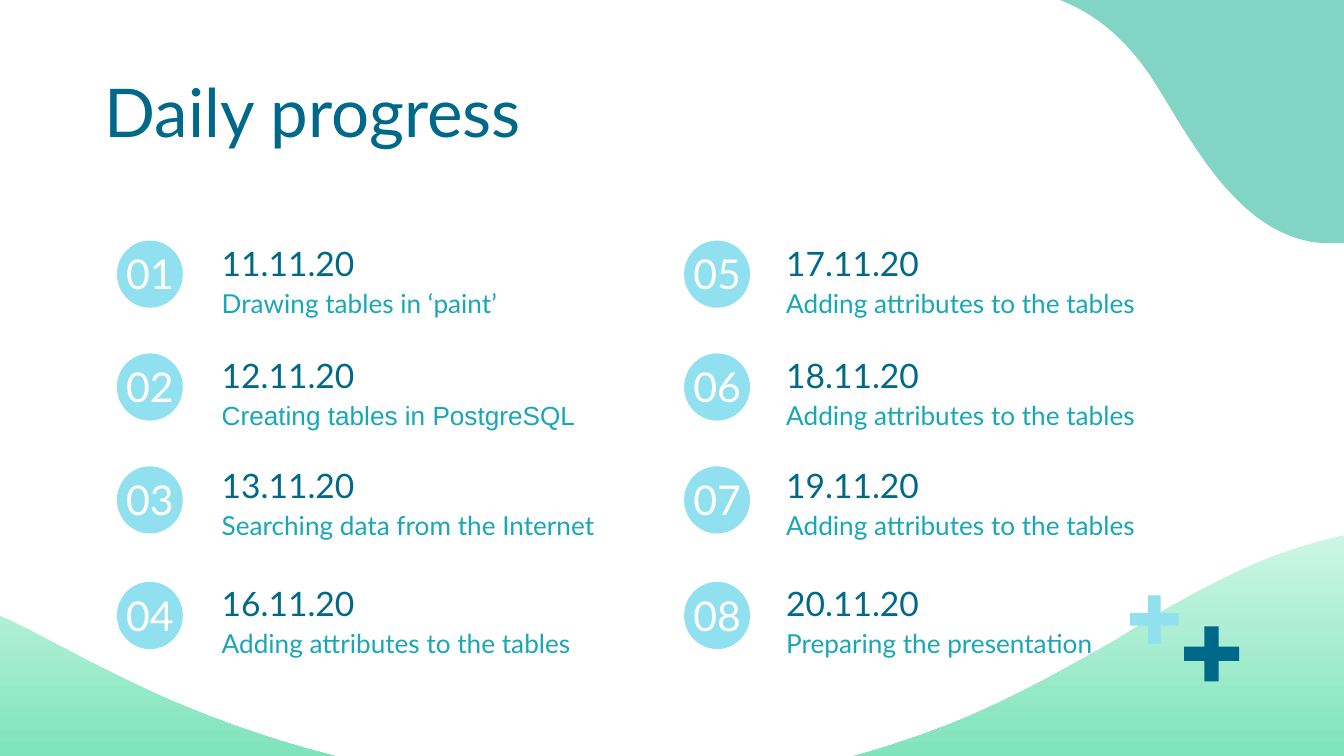
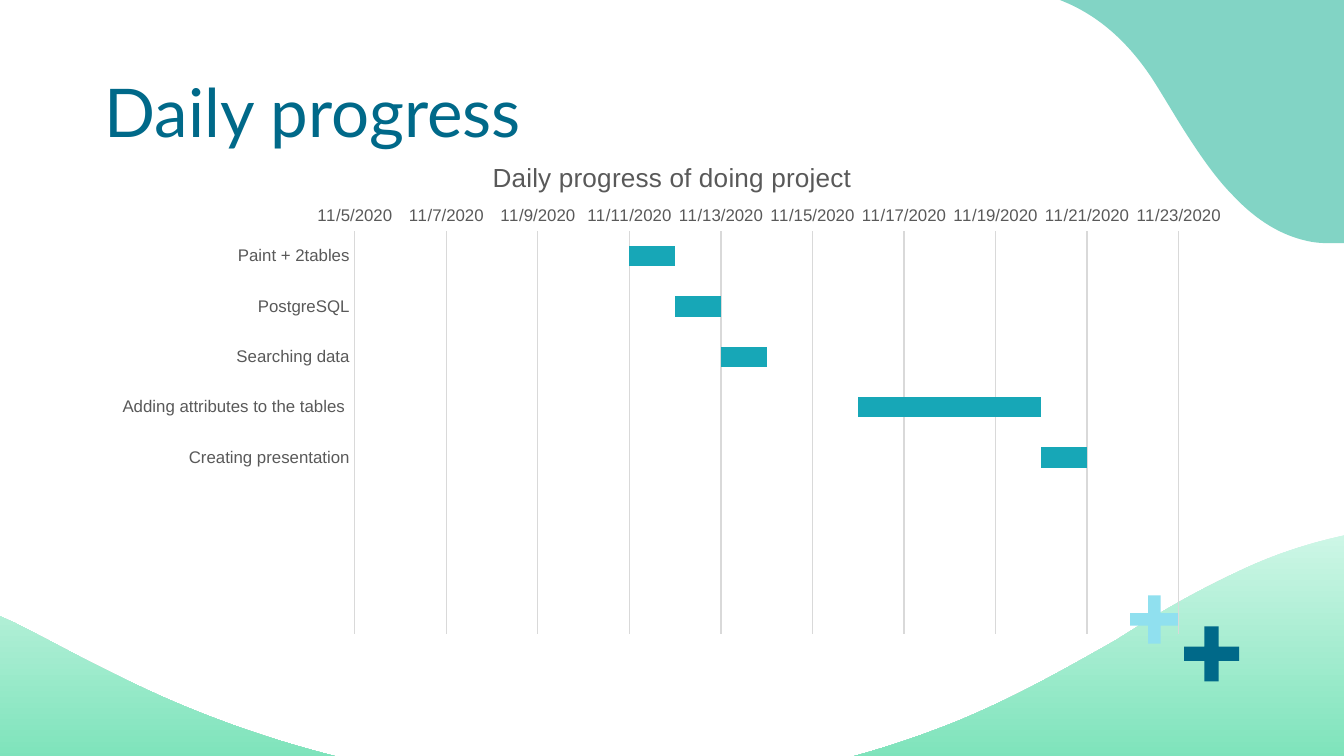
from dataclasses import dataclass

from lxml import etree
from pptx import Presentation
from pptx.chart.data import CategoryChartData
from pptx.dml.color import RGBColor
from pptx.enum.chart import XL_CHART_TYPE, XL_TICK_MARK
from pptx.enum.shapes import MSO_SHAPE
from pptx.enum.text import MSO_ANCHOR, PP_ALIGN
from pptx.oxml.ns import qn
from pptx.util import Emu, Pt

STACKED_BAR = XL_CHART_TYPE.BAR_STACKED
NO_TICK = XL_TICK_MARK.NONE
ELLIPSE, CROSS = MSO_SHAPE.OVAL, MSO_SHAPE.CROSS
TOP, MIDDLE, BOTTOM = MSO_ANCHOR.TOP, MSO_ANCHOR.MIDDLE, MSO_ANCHOR.BOTTOM
LEFT, CENTER = PP_ALIGN.LEFT, PP_ALIGN.CENTER

PX = 9144  # EMU in one px, 100 px to the inch
SLIDE_WIDTH = 1000 * PX
SLIDE_HEIGHT = SLIDE_WIDTH * 9 // 16


@dataclass(frozen=True)
class Theme:
    navy: str = "006989"
    teal: str = "17A7B7"
    sky: str = "90E0EF"
    sea: str = "82D4C5"
    wave_top: str = "D1F7E8"
    wave_bottom: str = "68DEAF"
    white: str = "FFFFFF"
    chart_text: str = "595959"
    chart_line: str = "D9D9D9"
    font: str = "Lato"
    plain_font: str = "Arial"
    title_size: int = 36
    number_size: int = 22
    date_size: int = 18
    task_size: int = 14
    chart_title_size: int = 14
    axis_size: int = 9


# Outlines: a start point, then lines (x, y) and cubic curves (three points)
WAVE = [
    (1066, 390),
    (1057, 391, 1049, 392, 1040, 392), (995, 397, 955, 409, 920, 426),
    (888, 441, 859, 458, 831, 476), (794, 497, 757, 518, 714, 536),
    (645, 564, 571, 582, 488, 587), (473, 588, 458, 588, 443, 588),
    (393, 588, 344, 583, 295, 573), (219, 558, 150, 534, 88, 503),
    (61, 490, 36, 476, 10, 463), (-19, 450, -48, 438, -83, 431),
    (-98, 427, -113, 425, -128, 425), (-149, 425, -169, 429, -188, 440),
    (-188, 610), (1066, 610),
]
CORNER = [
    (872, -7),
    (956, -7, 1064, -6, 1066, -6), (1066, 157),
    (1064, 158, 1063, 159, 1062, 159), (1053, 166, 1043, 171, 1032, 174),
    (1020, 179, 1007, 181, 994, 181), (988, 181, 982, 181, 976, 180),
    (954, 176, 935, 164, 918, 146), (905, 133, 894, 117, 883, 100),
    (874, 86, 866, 72, 857, 58), (837, 28, 813, 8, 783, -2),
    (781, -3, 779, -3, 777, -4), (776, -4, 776, -5, 777, -6),
    (778, -7, 821, -7, 872, -7),
]

TITLE = "Daily progress"
TABLES_TASK = "Adding attributes to the tables"
PROGRESS = [
    ("11.11.20", "Drawing tables in ‘paint’"),
    ("12.11.20", "Creating tables in PostgreSQL"),
    ("13.11.20", "Searching data from the Internet"),
    ("16.11.20", TABLES_TASK),
    ("17.11.20", TABLES_TASK),
    ("18.11.20", TABLES_TASK),
    ("19.11.20", TABLES_TASK),
    ("20.11.20", "Preparing the presentation"),
]
PLAIN_FONT_DATE = "12.11.20"
COLUMNS = [(87, 165), (509, 585)]  # left of circle, left of text
ROWS = [(179, 181), (263, 264), (347, 346), (433, 434)]  # top of circle, top of date

# Task, first day as a date serial, length in days
SCHEDULE = [
    ("Paint + 2tables", 44146, 1),
    ("PostgreSQL", 44147, 1),
    ("Searching data", 44148, 1),
    ("Adding attributes to the tables ", 44151, 4),
    ("Creating presentation", 44155, 1),
] + [("", None, None)] * 3
FIRST_DAY, LAST_DAY, DAY_STEP = 44140, 44158, 2


def color(value):
    return RGBColor.from_string(value)


def bend(shape, segments):
    """Join the lines through the control points of each curve into that curve."""
    lines = iter(list(shape.element.iter(qn("a:lnTo"))))
    for segment in segments:
        first = next(lines)
        if len(segment) == 2:
            continue
        curve = etree.Element(qn("a:cubicBezTo"))
        first.addprevious(curve)
        for line in (first, next(lines), next(lines)):
            curve.append(line[0])
            line.getparent().remove(line)


def manual_layout(**settings):
    """Make a chart layout element from its settings."""
    layout = etree.Element(qn("c:layout"))
    manual = etree.SubElement(layout, qn("c:manualLayout"))
    for name, value in settings.items():
        etree.SubElement(manual, qn(f"c:{name}")).set("val", str(value))
    return layout


def drop_layout(element):
    for layout in element.findall(qn("c:layout")):
        element.remove(layout)


class Deck:
    def __init__(self, theme):
        self.theme = theme
        self.presentation = Presentation()
        self.presentation.slide_width = Emu(SLIDE_WIDTH)
        self.presentation.slide_height = Emu(SLIDE_HEIGHT)
        self.slide = None

    def new_slide(self, title):
        theme = self.theme
        self.slide = self.presentation.slides.add_slide(self.presentation.slide_layouts[6])
        background = self.slide.background.fill
        background.solid()
        background.fore_color.rgb = color(theme.white)
        self.outline(WAVE, theme.wave_top, theme.wave_bottom)
        self.outline(CORNER, theme.sea)
        self.plus(881, 466, 41, theme.navy)
        self.plus(841, 443, 36, theme.sky)
        self.text(title, 78, 52, 844, 60, theme.title_size, theme.navy)

    def paint(self, shape, fill, end_fill=None):
        shape.shadow.inherit = False
        shape.line.fill.background()
        if end_fill is None:
            shape.fill.solid()
            shape.fill.fore_color.rgb = color(fill)
            return
        shape.fill.gradient()
        shape.fill.gradient_angle = 270
        stops = shape.fill.gradient_stops
        for stop, position, value in zip(stops, (0, 1), (fill, end_fill)):
            stop.position = position
            stop.color.rgb = color(value)

    def outline(self, outline, fill, end_fill=None):
        start, *segments = outline
        points = [point for segment in segments
                  for point in zip(segment[::2], segment[1::2])]
        builder = self.slide.shapes.build_freeform(*start, scale=PX)
        builder.add_line_segments(points, close=True)
        shape = builder.convert_to_shape()
        bend(shape, segments)
        self.paint(shape, fill, end_fill)

    def preset(self, kind, left, top, width, height, fill):
        box = [Emu(length * PX) for length in (left, top, width, height)]
        shape = self.slide.shapes.add_shape(kind, *box)
        self.paint(shape, fill)
        return shape

    def plus(self, left, top, size, fill):
        shape = self.preset(CROSS, left, top, size, size, fill)
        shape.adjustments[0] = 0.37

    def text(self, text, left, top, width, height, size, fill,
             font=None, anchor=TOP, align=LEFT):
        box = [Emu(length * PX) for length in (left, top, width, height)]
        frame = self.slide.shapes.add_textbox(*box).text_frame
        frame.word_wrap = True
        frame.vertical_anchor = anchor
        frame.margin_left = frame.margin_right = 0
        frame.margin_top = frame.margin_bottom = 0
        frame.text = text
        paragraph = frame.paragraphs[0]
        paragraph.alignment = align
        self.style(paragraph.runs[0].font, size, fill, font or self.theme.font)

    def style(self, font, size, fill, name):
        font.name = name
        font.size = Pt(size)
        font.bold = False
        font.color.rgb = color(fill)

    def progress_entry(self, number, date, task, column, row):
        theme = self.theme
        circle_left, text_left = column
        circle_top, date_top = row
        self.preset(ELLIPSE, circle_left, circle_top, 49, 50, theme.sky)
        self.text(f"{number:02}", circle_left - 15, circle_top - 5, 79, 59,
                  theme.number_size, theme.white, anchor=MIDDLE, align=CENTER)
        self.text(date, text_left, date_top, 343, 30,
                  theme.date_size, theme.navy, anchor=BOTTOM)
        task_font = theme.plain_font if date == PLAIN_FONT_DATE else theme.font
        self.text(task, text_left, date_top + 33, 343, 30,
                  theme.task_size, theme.teal, font=task_font)

    def gantt(self, title, schedule, left, top, width, height):
        theme = self.theme
        names, starts, lengths = zip(*schedule)
        data = CategoryChartData()
        data.categories = names
        data.add_series("Series 1", starts)
        data.add_series("Series 2", lengths)
        box = [Emu(length * PX) for length in (left, top, width, height)]
        chart = self.slide.shapes.add_chart(STACKED_BAR, *box, data).chart
        chart.has_legend = False
        self.style(chart.font, theme.axis_size, theme.chart_text, theme.plain_font)

        # Rows without a task keep their place but have no label
        for point in list(chart.element.iter(qn("c:pt"))):
            if not point.findtext(qn("c:v")):
                point.getparent().remove(point)

        # Title
        chart.has_title = True
        chart.chart_title.include_in_layout = False
        frame = chart.chart_title.text_frame
        frame.text = title
        self.style(frame.paragraphs[0].runs[0].font, theme.chart_title_size,
                   theme.chart_text, theme.plain_font)
        title_element = chart.chart_title.element
        drop_layout(title_element)
        title_element.find(qn("c:tx")).addnext(manual_layout(
            xMode="edge", yMode="edge", x=287 / width, y=12 / height))

        # Bars: the first series only pushes the second to its start date
        plot = chart.plots[0]
        plot.gap_width = 150
        plot.overlap = 100
        plot.vary_by_categories = False
        offset, duration = plot.series
        offset.format.fill.background()
        duration.format.fill.solid()
        duration.format.fill.fore_color.rgb = color(theme.teal)

        # Axes
        tasks, days = chart.category_axis, chart.value_axis
        for axis in (tasks, days):
            axis.major_tick_mark = axis.minor_tick_mark = NO_TICK
            self.style(axis.tick_labels.font, theme.axis_size,
                       theme.chart_text, theme.plain_font)
        tasks.reverse_order = True
        days.minimum_scale, days.maximum_scale = FIRST_DAY, LAST_DAY
        days.major_unit = DAY_STEP
        days.tick_labels.number_format = "m/d/yyyy"
        days.tick_labels.number_format_is_linked = False
        days.format.line.fill.background()
        days.has_major_gridlines = True
        for line in (tasks.format.line, days.major_gridlines.format.line):
            line.color.rgb = color(theme.chart_line)
            line.width = Pt(0.75)

        # Plot area
        plot_area = chart.element.find(".//" + qn("c:plotArea"))
        drop_layout(plot_area)
        plot_area.insert(0, manual_layout(
            layoutTarget="inner", xMode="edge", yMode="edge",
            x=188 / width, y=68 / height, w=613 / width, h=300 / height))


def main():
    deck = Deck(Theme())

    # Day by day list
    deck.new_slide(TITLE)
    for index, (date, task) in enumerate(PROGRESS):
        column, row = divmod(index, len(ROWS))
        deck.progress_entry(index + 1, date, task, COLUMNS[column], ROWS[row])

    # Schedule chart
    deck.new_slide(TITLE)
    deck.gantt("Daily progress of doing project", SCHEDULE, 76, 104, 848, 368)

    deck.presentation.save("out.pptx")


if __name__ == "__main__":
    main()
